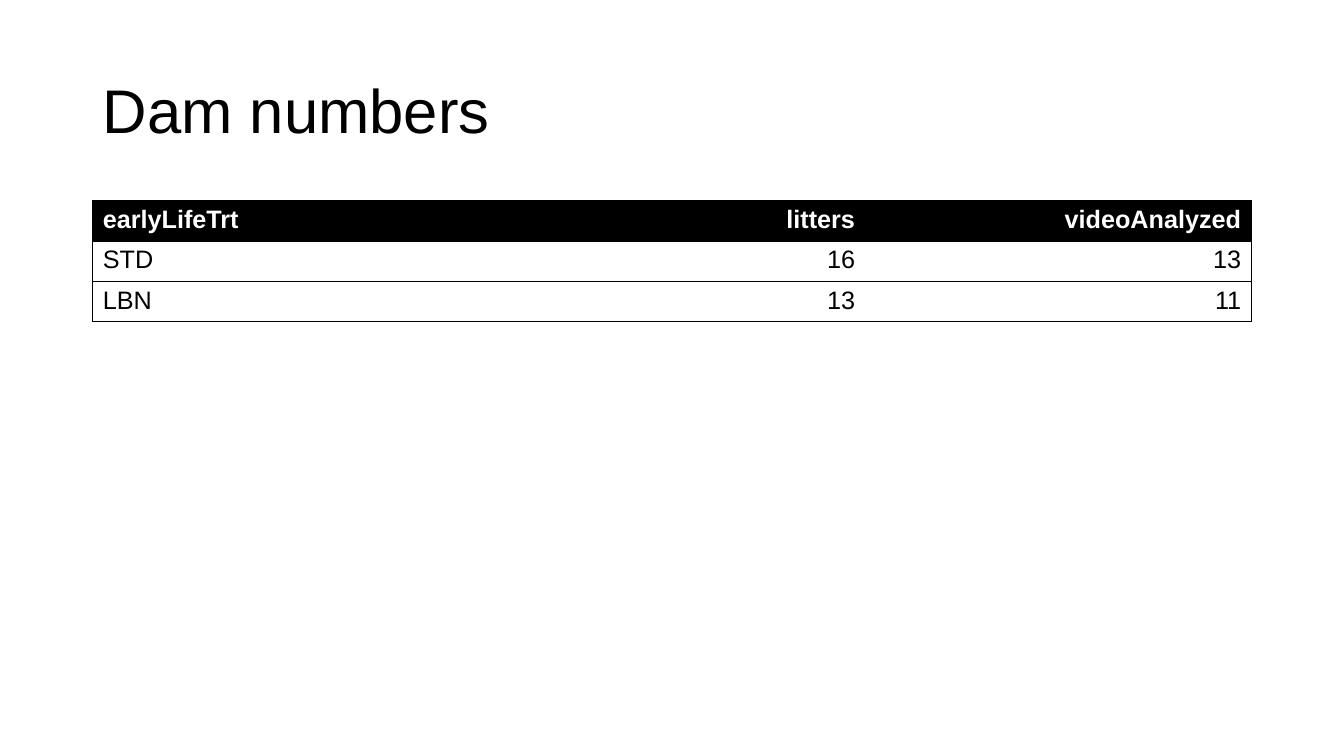
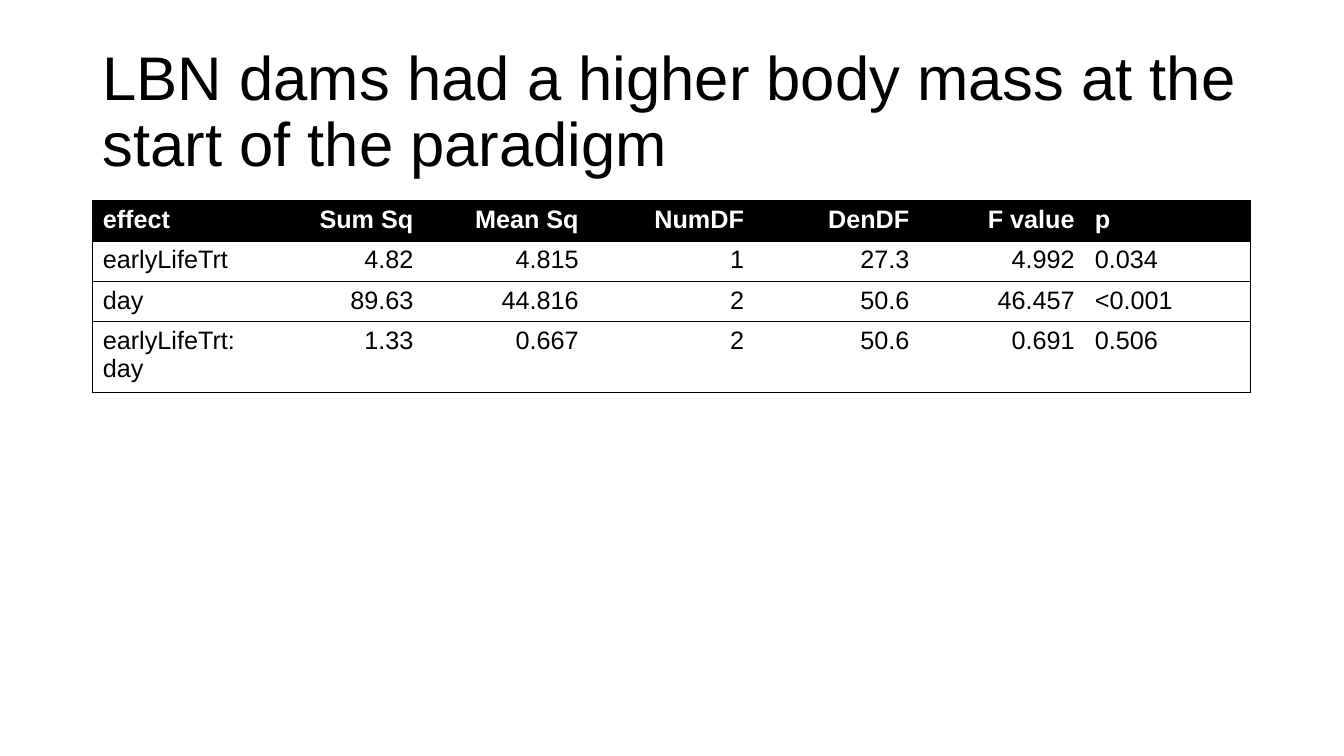
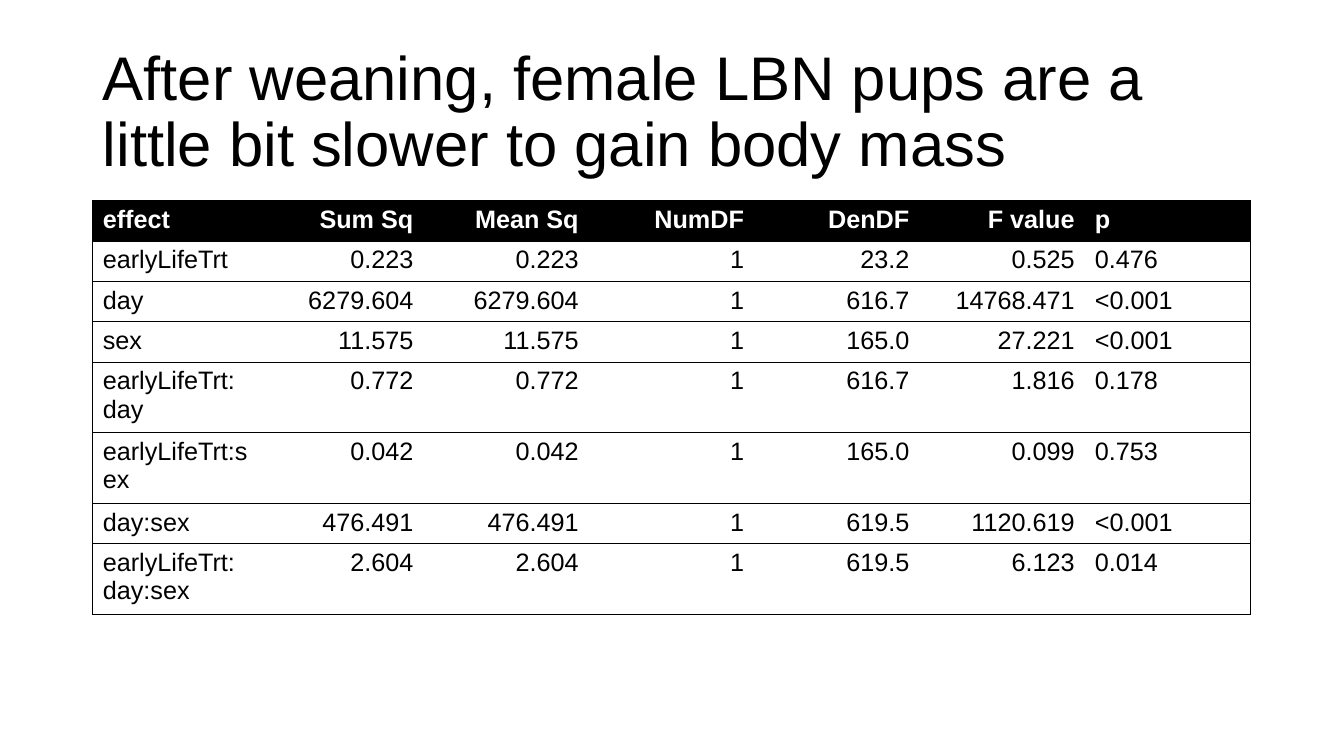
import dataclasses

import lxml.etree
import pptx
import pptx.dml.color
import pptx.enum.text
import pptx.oxml.ns
import pptx.util

Inches = pptx.util.Inches
Align = pptx.enum.text.PP_ALIGN


@dataclasses.dataclass(frozen=True)
class Theme:
    font: str = "Arial"
    ink: str = "000000"
    paper: str = "FFFFFF"
    title_size: int = 44
    table_size: int = 18
    border_width: float = 0.5
    left: float = 0.92
    title_top: float = 0.4
    title_width: float = 11.5
    title_height: float = 1.45
    table_top: float = 1.99
    row_height: float = 0.38


THEME = Theme()

# Slide content: the first row of each table is its header
DAM_ROWS = [
    ("earlyLifeTrt", "litters", "videoAnalyzed"),
    ("STD", "16", "13"),
    ("LBN", "13", "11"),
]
EFFECT_HEADER = ("effect", "Sum Sq", "Mean Sq", "NumDF", "DenDF", "F value", "p")
DAM_MASS_ROWS = [
    EFFECT_HEADER,
    ("earlyLifeTrt", "4.82", "4.815", "1", "27.3", "4.992", "0.034"),
    ("day", "89.63", "44.816", "2", "50.6", "46.457", "<0.001"),
    ("earlyLifeTrt:day", "1.33", "0.667", "2", "50.6", "0.691", "0.506"),
]
PUP_MASS_ROWS = [
    EFFECT_HEADER,
    ("earlyLifeTrt", "0.223", "0.223", "1", "23.2", "0.525", "0.476"),
    ("day", "6279.604", "6279.604", "1", "616.7", "14768.471", "<0.001"),
    ("sex", "11.575", "11.575", "1", "165.0", "27.221", "<0.001"),
    ("earlyLifeTrt:day", "0.772", "0.772", "1", "616.7", "1.816", "0.178"),
    ("earlyLifeTrt:sex", "0.042", "0.042", "1", "165.0", "0.099", "0.753"),
    ("day:sex", "476.491", "476.491", "1", "619.5", "1120.619", "<0.001"),
    ("earlyLifeTrt:day:sex", "2.604", "2.604", "1", "619.5", "6.123", "0.014"),
]
# Title, rows, column width, text columns (the others hold numbers)
SLIDES = [
    ("Dam numbers", DAM_ROWS, 3.83, {"earlyLifeTrt"}),
    ("LBN dams had a higher body mass at the start of the paradigm",
     DAM_MASS_ROWS, 1.64, {"effect", "p"}),
    ("After weaning, female LBN pups are a little bit slower to gain body mass",
     PUP_MASS_ROWS, 1.64, {"effect", "p"}),
]


def apply_format(target, values):
    for name, value in values.items():
        setattr(target, name, value)


def write_text(frame, text, size, color, bold=False, paragraph_format=None):
    para = frame.paragraphs[0]
    apply_format(para, paragraph_format or {})
    span = para.add_run()
    span.text = text
    apply_format(span.font, {
        "name": THEME.font, "size": pptx.util.Pt(size), "bold": bold,
    })
    span.font.color.rgb = pptx.dml.color.RGBColor.from_string(color)


def add_title(page, text):
    box = page.shapes.add_textbox(
        Inches(THEME.left), Inches(THEME.title_top),
        Inches(THEME.title_width), Inches(THEME.title_height))
    apply_format(box.text_frame, {
        "word_wrap": True,
        "vertical_anchor": pptx.enum.text.MSO_ANCHOR.MIDDLE,
    })
    write_text(box.text_frame, text, THEME.title_size, THEME.ink,
               paragraph_format={"line_spacing": 0.9})


def set_borders(cell, drawn_sides):
    """Draw the named sides of a cell and clear the others."""
    qn = pptx.oxml.ns.qn
    properties = cell._tc.get_or_add_tcPr()
    for side in "LRTB":
        line = lxml.etree.SubElement(
            properties, qn(f"a:ln{side}"),
            w=str(int(pptx.util.Pt(THEME.border_width))))
        if side in drawn_sides:
            fill = lxml.etree.SubElement(line, qn("a:solidFill"))
            lxml.etree.SubElement(fill, qn("a:srgbClr"), val=THEME.ink)
        else:
            lxml.etree.SubElement(line, qn("a:noFill"))


def fill_cell(cell, text, is_header, align, drawn_sides):
    # Borders come before the fill in the cell properties
    set_borders(cell, drawn_sides)
    back, ink = (THEME.ink, THEME.paper) if is_header else (THEME.paper, THEME.ink)
    cell.fill.solid()
    cell.fill.fore_color.rgb = pptx.dml.color.RGBColor.from_string(back)
    write_text(cell.text_frame, text, THEME.table_size, ink, is_header,
               {"alignment": align})


def add_data_table(page, rows, column_width, text_columns):
    header = rows[0]
    last = len(header) - 1
    table = page.shapes.add_table(
        len(rows), len(header), Inches(THEME.left), Inches(THEME.table_top),
        Inches(column_width * len(header)),
        Inches(THEME.row_height * len(rows))).table
    table.horz_banding = False
    for column in table.columns:
        column.width = Inches(column_width)
    for row_index, row in enumerate(rows):
        for column_index, text in enumerate(row):
            is_text = header[column_index] in text_columns
            # Rules between rows and an outer frame, no inner verticals
            sides = "TB" + "L" * (column_index == 0) + "R" * (column_index == last)
            fill_cell(table.cell(row_index, column_index), text, row_index == 0,
                      Align.LEFT if is_text else Align.RIGHT, sides)


def main():
    deck = pptx.Presentation()
    apply_format(deck, {"slide_width": Inches(13.33), "slide_height": Inches(7.5)})
    for title, rows, column_width, text_columns in SLIDES:
        page = deck.slides.add_slide(deck.slide_layouts[6])
        add_title(page, title)
        add_data_table(page, rows, column_width, text_columns)
    deck.save("out.pptx")


if __name__ == "__main__":
    main()
